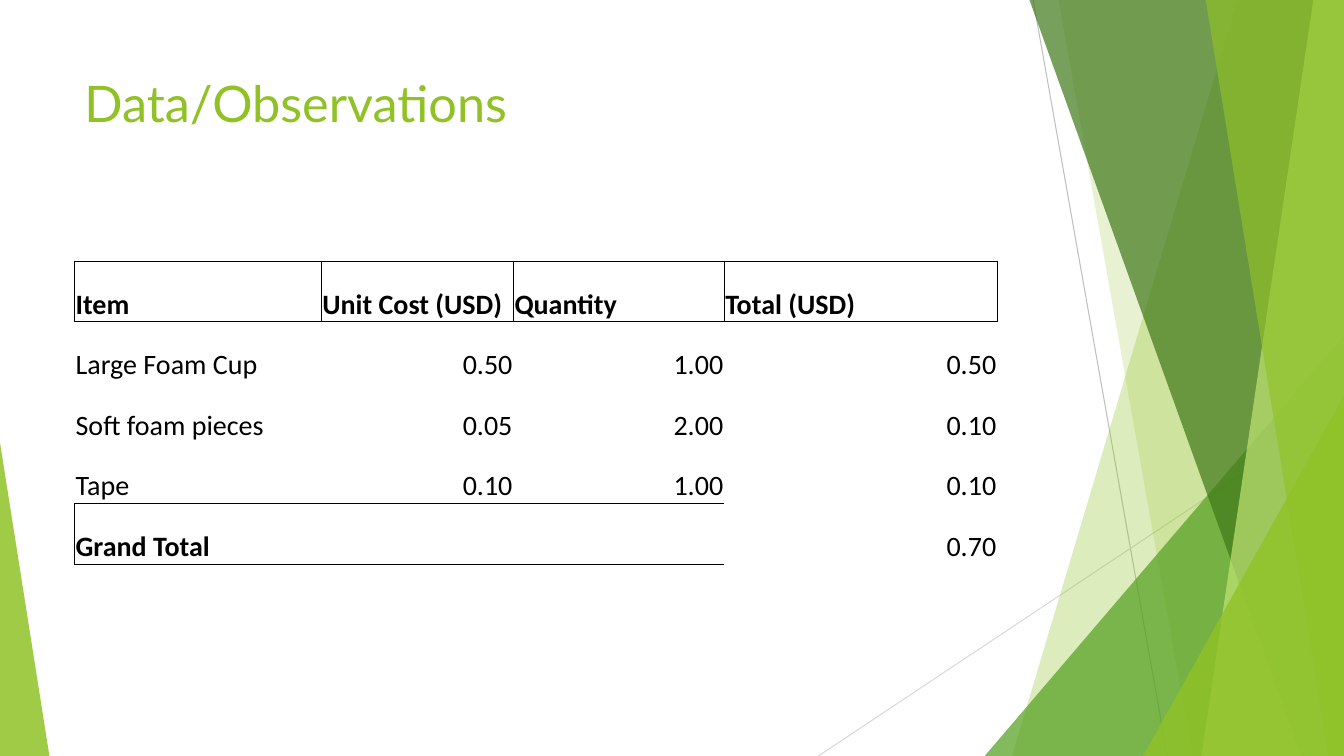
import pptx
import pptx.util
import pptx.dml.color
import pptx.enum.shapes
import pptx.enum.text
import pptx.oxml
import pptx.oxml.ns
import lxml.etree

Pt = pptx.util.Pt
qn = pptx.oxml.ns.qn
COLORS = {
    "lime": "90C226",
    "leaf": "54A021",
    "forest": "3F7819",
    "pale": "C0E474",
    "gray": "BFBFBF",
    "light gray": "D9D9D9",
    "black": "000000",
}
WIDTH, HEIGHT, BLEED = 960, 540, -0.7


def rgb(name):
    return pptx.dml.color.RGBColor.from_string(COLORS[name])


def paint(shape, color, opacity):
    """Fill a shape with a see-through colour, without outline or shadow."""
    shape.shadow.inherit = False
    shape.line.fill.background()
    shape.fill.solid()
    shape.fill.fore_color.rgb = rgb(color)
    tint = shape.element.spPr.find(qn("a:solidFill"))[0]
    lxml.etree.SubElement(tint, qn("a:alpha"), val=str(opacity * 1000))


deck = pptx.Presentation()
deck.slide_width = Pt(WIDTH)
deck.slide_height = Pt(HEIGHT)
slide = deck.slides.add_slide(deck.slide_layouts[6])
shapes = slide.shapes

# Thin lines behind the facets
for x1, y1, x2, y2, color in [
    (738, 0, 833.8, HEIGHT, "gray"),
    (WIDTH, 290.2, 584.6, HEIGHT, "light gray"),
]:
    line = shapes.add_connector(
        pptx.enum.shapes.MSO_CONNECTOR.STRAIGHT, Pt(x1), Pt(y1), Pt(x2), Pt(y2))
    line.line.color.rgb = rgb(color)
    line.line.width = Pt(0.75)
    lxml.etree.SubElement(line.element.spPr, qn("a:effectLst"))

# Facets: ("band", top x, bottom x) reaches the right edge,
# ("triangle", left, top, width, apex) stands on the bottom edge
facets = [
    (("band", 884.2, 722.9), "lime", 30),
    (("band", 756, 851.8), "lime", 20),
    (("triangle", 703.4, 239.8, 256.6, 1), "leaf", 72),
    (("band", 735.1, 929.5), "forest", 70),
    (("band", 938.2, 858.2), "pale", 70),
    (("band", 861.1, 949), "lime", 65),
    (("triangle", 816.5, 283, 143.5, 1), "lime", 80),
    (("triangle", 0, 316.1, 35.3, 0), "lime", 85),
]
for (kind, *numbers), color, opacity in facets:
    if kind == "band":
        top_x, bottom_x = numbers
        outline = shapes.build_freeform(Pt(top_x), Pt(BLEED))
        outline.add_line_segments([
            (Pt(WIDTH), Pt(BLEED)), (Pt(WIDTH), Pt(HEIGHT)), (Pt(bottom_x), Pt(HEIGHT))])
        facet = outline.convert_to_shape()
    else:
        left, top, width, apex = numbers
        facet = shapes.add_shape(
            pptx.enum.shapes.MSO_SHAPE.ISOSCELES_TRIANGLE,
            Pt(left), Pt(top), Pt(width), Pt(HEIGHT - top))
        facet.adjustments[0] = apex
    paint(facet, color, opacity)

# Title
box = shapes.add_textbox(Pt(53.3), Pt(48), Pt(676.8), Pt(103.7))
box.text_frame.word_wrap = True
span = box.text_frame.paragraphs[0].add_run()
span.text = "Data/Observations"
span.font.name = "Lato"
span.font.size = Pt(36)
span.font.color.rgb = rgb("lime")

# Cost table
rows = [
    ["Item", "Unit Cost (USD)", "Quantity", "Total (USD)"],
    ["Large Foam Cup", "0.50", "1.00", "0.50"],
    ["Soft foam pieces", "0.05", "2.00", "0.10"],
    ["Tape", "0.10", "1.00", "0.10"],
    ["Grand Total", "", "", "0.70"],
]
column_widths = [176.3, 137.2, 150.6, 195]
row_height = 43.3
last_row = len(rows) - 1
last_column = len(column_widths) - 1
table = shapes.add_table(
    len(rows), len(column_widths), Pt(53.3), Pt(186.5),
    Pt(sum(column_widths)), Pt(row_height * len(rows))).table
table.first_row = False
table.horz_banding = False
for column, width in zip(table.columns, column_widths):
    column.width = Pt(width)

for r, texts in enumerate(rows):
    table.rows[r].height = Pt(row_height)
    for c, text in enumerate(texts):
        cell = table.cell(r, c)
        cell.margin_left = cell.margin_right = cell.margin_top = Pt(0.75)
        cell.margin_bottom = 0
        cell.vertical_anchor = pptx.enum.text.MSO_ANCHOR.BOTTOM
        if text:
            para = cell.text_frame.paragraphs[0]
            if r > 0 and c > 0:
                para.alignment = pptx.enum.text.PP_ALIGN.RIGHT
            span = para.add_run()
            span.text = text
            span.font.name = "Calibri"
            span.font.size = Pt(20)
            span.font.bold = r == 0 or (r == last_row and c == 0)
            span.font.color.rgb = rgb("black")

        header = r == 0
        total = r == last_row and c < last_column
        ruled = {
            "L": header or (total and c == 0),
            "R": header,
            "T": header or r == 1 or total,
            "B": header or total or (r == last_row - 1 and c < last_column),
        }
        properties = cell._tc.get_or_add_tcPr()
        for side, visible in ruled.items():
            border = lxml.etree.SubElement(properties, qn("a:ln" + side), w=str(Pt(0.5)))
            if visible:
                fill = lxml.etree.SubElement(border, qn("a:solidFill"))
                lxml.etree.SubElement(fill, qn("a:srgbClr"), val=COLORS["black"])
            else:
                lxml.etree.SubElement(border, qn("a:noFill"))
        cell.fill.background()

deck.save("out.pptx")
